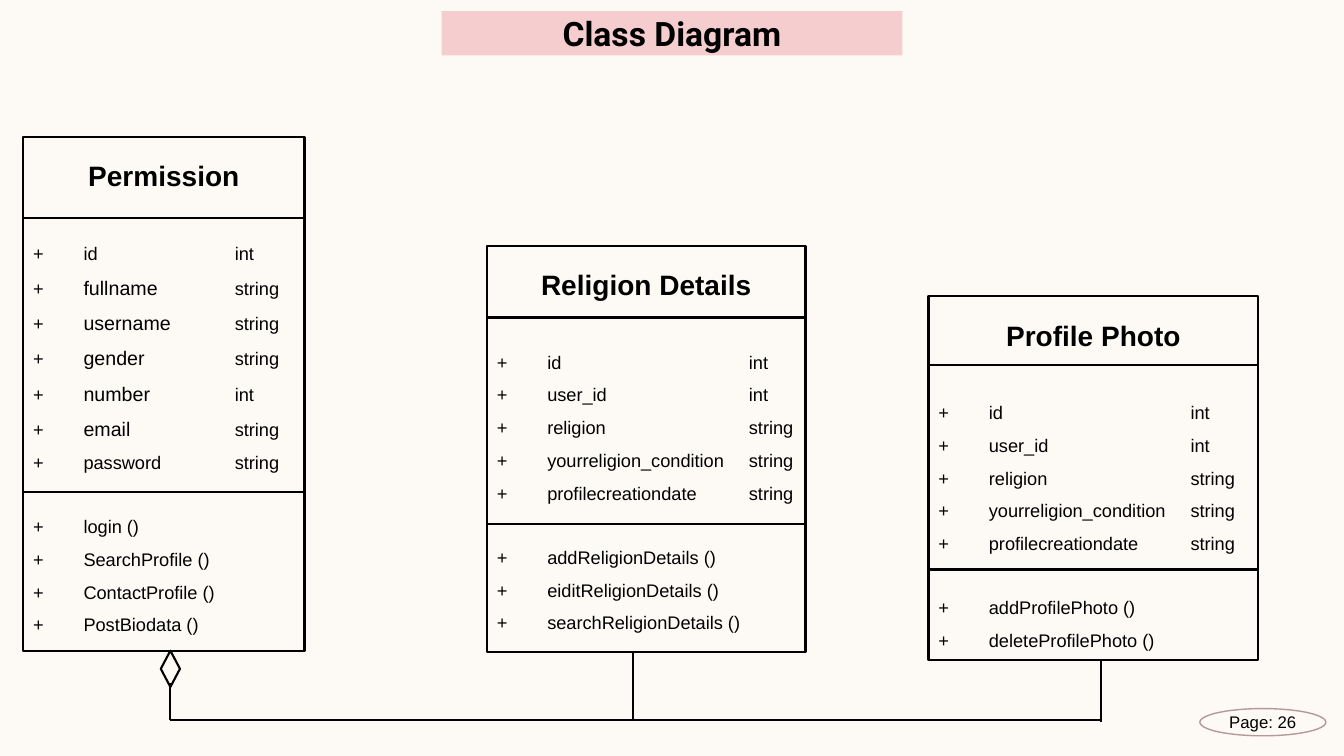
from dataclasses import dataclass

from lxml.etree import SubElement
from pptx import Presentation
from pptx.dml.color import RGBColor
from pptx.enum.shapes import MSO_CONNECTOR, MSO_SHAPE
from pptx.enum.text import MSO_ANCHOR, PP_ALIGN
from pptx.oxml.ns import qn
from pptx.util import Emu, Pt

SCALE = 9144
CREAM = RGBColor(0xFD, 0xFA, 0xF6)
PINK = RGBColor(0xF5, 0xCD, 0xCE)
MAUVE = RGBColor(0xB5, 0x98, 0x98)
BLACK = RGBColor(0, 0, 0)


@dataclass(frozen=True)
class Field:
    name: str
    kind: str
    size: int = 13


@dataclass(frozen=True)
class Entity:
    title: str
    left: int
    top: int
    width: int
    height: int
    rules: tuple[int, int]
    tab: int
    fields: tuple[Field, ...]
    methods: tuple[str, ...]


@dataclass(frozen=True)
class Link:
    left: int
    top: int
    right: int
    bottom: int


FAITH = (
    Field("id", "int"),
    Field("user_id", "int"),
    Field("religion", "string"),
    Field("yourreligion_condition", "string"),
    Field("profilecreationdate", "string"),
)
USER = (
    Field("id", "int"),
    Field("fullname", "string", 14),
    Field("username", "string", 14),
    Field("gender", "string", 14),
    Field("number", "int", 14),
    Field("email", "string", 14),
    Field("password", "string"),
)
ENTITIES = (
    Entity("Religion Details", 483, 244, 316, 403, (315, 520), 250, FAITH,
           ("addReligionDetails ()", "eiditReligionDetails ()", "searchReligionDetails ()")),
    Entity("Profile Photo", 921, 294, 327, 361, (362, 565), 250, FAITH,
           ("addProfilePhoto ()", "deleteProfilePhoto ()")),
    Entity("Permission", 23, 136, 279, 510, (216, 488), 200, USER,
           ("login ()", "SearchProfile ()", "ContactProfile ()", "PostBiodata ()")),
)
LINKS = (
    Link(169, 678, 169, 714),
    Link(1092, 655, 1092, 716),
    Link(1092, 714, 169, 714),
    Link(628, 646, 628, 714),
)


def px(size: int) -> Emu:
    return Emu(size * SCALE)


def write(para, text: str, *, size=13, bold=False, font="Arial", color=BLACK):
    run = para.add_run()
    run.text = text
    run.font.size = Pt(size)
    run.font.bold = bold
    run.font.name = font
    run.font.color.rgb = color


def draw(slide, kind, left: int, top: int, width: int, height: int, *, fill=None, line=None, weight=1.5):
    shape = slide.shapes.add_shape(kind, px(left), px(top), px(width), px(height))
    shape.shadow.inherit = False
    if fill is None:
        shape.fill.background()
    else:
        shape.fill.solid()
        shape.fill.fore_color.rgb = fill
    if line is None:
        shape.line.fill.background()
    else:
        shape.line.color.rgb = line
        shape.line.width = Pt(weight)
    return shape


def label(shape, text: str, **style) -> None:
    frame = shape.text_frame
    frame.word_wrap = False
    frame.vertical_anchor = MSO_ANCHOR.MIDDLE
    para = frame.paragraphs[0]
    para.alignment = PP_ALIGN.CENTER
    write(para, text, **style)


def join(slide, link: Link) -> None:
    line = slide.shapes.add_connector(
        MSO_CONNECTOR.STRAIGHT, px(link.left), px(link.top), px(link.right), px(link.bottom))
    line.line.color.rgb = BLACK
    line.line.width = Pt(1.5)
    SubElement(line._element.spPr, qn("a:effectLst"))


def add_row(frame, tab: int, gap: float):
    para = frame.add_paragraph()
    para.alignment = PP_ALIGN.LEFT
    para.line_spacing = 1.5
    para.space_before = Pt(gap)
    tabs = SubElement(para._p.get_or_add_pPr(), qn("a:tabLst"))
    for stop in (50, tab):
        SubElement(tabs, qn("a:tab"), pos=str(px(stop)), algn="l")
    write(para, "+\t")
    return para


def add_box(slide, box: Entity) -> None:
    shape = draw(slide, MSO_SHAPE.RECTANGLE, box.left, box.top, box.width, box.height, line=BLACK)
    frame = shape.text_frame
    frame.word_wrap = True
    frame.vertical_anchor = MSO_ANCHOR.TOP
    head = frame.paragraphs[0]
    head.alignment = PP_ALIGN.CENTER
    head.line_spacing = 1.5
    write(head, box.title, size=20, bold=True)
    for i, field in enumerate(box.fields):
        para = add_row(frame, box.tab, 0 if i else 27.6)
        write(para, field.name, size=field.size)
        write(para, "\t" + field.kind)
    for i, name in enumerate(box.methods):
        write(add_row(frame, box.tab, 0 if i else 22.4), name)
    for y in box.rules:
        join(slide, Link(box.left, y, box.left + box.width, y))


def main() -> None:
    deck = Presentation()
    deck.slide_width, deck.slide_height = px(1333), px(750)
    slide = deck.slides.add_slide(deck.slide_layouts[6])
    slide.background.fill.solid()
    slide.background.fill.fore_color.rgb = CREAM
    for box in ENTITIES:
        add_box(slide, box)
    for link in LINKS:
        join(slide, link)
    gem = draw(slide, MSO_SHAPE.FLOWCHART_DECISION, 151, 654, 36, 19, line=BLACK)
    gem.rotation = 270
    title = draw(slide, MSO_SHAPE.RECTANGLE, 438, 11, 457, 44, fill=PINK)
    label(title, "Class Diagram", size=24, bold=True, font="Roboto")
    page = draw(slide, MSO_SHAPE.OVAL, 1190, 703, 125, 27, line=MAUVE, weight=1)
    label(page, "Page: 26", size=12)
    deck.save("out.pptx")


if __name__ == "__main__":
    main()
